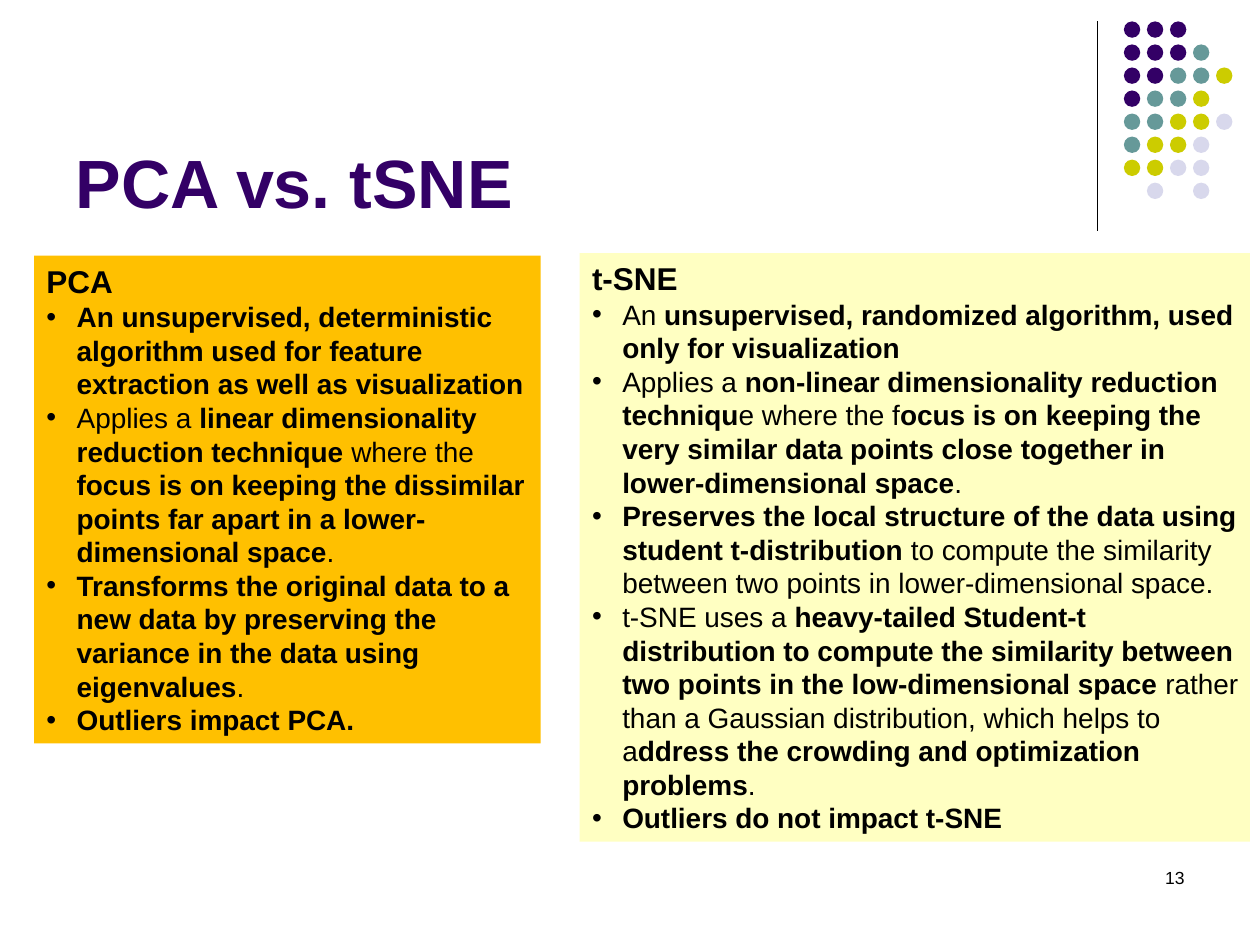
import pptx
import pptx.util
import pptx.dml.color
import pptx.enum.shapes
import pptx.enum.text
import lxml.etree
from pptx.util import Inches

SHAPE = pptx.enum.shapes.MSO_SHAPE
ALIGN = pptx.enum.text.PP_ALIGN
ANCHOR = pptx.enum.text.MSO_ANCHOR
A = "{http://schemas.openxmlformats.org/drawingml/2006/main}"


def color(hex_value):
    return pptx.dml.color.RGBColor.from_string(hex_value)


def write(paragraph, text, size, ink="000000", bold=False, align=ALIGN.LEFT, bullet=False):
    """Fill a paragraph; each ** in the text switches bold on or off."""
    paragraph.alignment = align
    if bullet:
        properties = paragraph._p.get_or_add_pPr()
        properties.set("marL", str(Inches(0.24)))
        properties.set("indent", str(-Inches(0.24)))
        lxml.etree.SubElement(properties, A + "buFont", typeface="Arial")
        lxml.etree.SubElement(properties, A + "buChar", char="•")
    for index, part in enumerate(text.split("**")):
        if part:
            run = paragraph.add_run()
            run.text = part
            run.font.name = "Arial"
            run.font.size = pptx.util.Pt(size)
            run.font.bold = bold or index % 2 == 1
            run.font.color.rgb = color(ink)


prs = pptx.Presentation()
prs.slide_width, prs.slide_height = Inches(10), Inches(7.5)
slide = prs.slides.add_slide(prs.slide_layouts[5])

# Corner ornament: a rule and a grid of dots
rule = slide.shapes.add_connector(
    pptx.enum.shapes.MSO_CONNECTOR.STRAIGHT,
    Inches(8.71), Inches(0.17), Inches(8.71), Inches(1.83))
rule.line.color.rgb = color("000000")
rule.line.width = pptx.util.Pt(0.75)
lxml.etree.SubElement(rule._element.spPr, A + "effectLst")

dot_colors = {"P": "330066", "T": "669999", "Y": "CCCC00", "L": "D8D8EC"}
dot_rows = ["PPP", "PPPT", "PPTTY", "PTTY", "TTYYL", "TYYL", "YYLL", " L L"]
pitch = 1.28 / 7
dots = slide.shapes.add_group_shape()
for row, codes in enumerate(dot_rows):
    for column, code in enumerate(codes):
        if code in dot_colors:
            dot = dots.shapes.add_shape(
                SHAPE.OVAL, Inches(8.92 + column * pitch), Inches(0.17 + row * pitch),
                Inches(0.13), Inches(0.13))
            dot.shadow.inherit = False
            dot.fill.solid()
            dot.fill.fore_color.rgb = color(dot_colors[code])
            dot.line.fill.background()

title = slide.shapes.title
title.left, title.top = Inches(0.5), Inches(0.39)
title.width, title.height = Inches(8.25), Inches(1.42)
title.text_frame.vertical_anchor = ANCHOR.BOTTOM
write(title.text_frame.paragraphs[0], "PCA vs. tSNE", 39, ink="330066", bold=True)

page_number = slide.shapes.add_textbox(Inches(7.17), Inches(6.83), Inches(2.33), Inches(0.5))
page_number.text_frame.word_wrap = True
write(page_number.text_frame.paragraphs[0], "13", 10, align=ALIGN.RIGHT)

# The two methods side by side
methods = [
    ("PCA", (0.27, 2.03, 4.02, 3.87), "FFC000", [
        "**An unsupervised, deterministic algorithm used for feature extraction "
        "as well as visualization**",
        "Applies a** linear dimensionality reduction technique** where the **focus is on "
        "keeping the dissimilar points far apart in a lower-dimensional space**.",
        "**Transforms the original data to a new data by preserving the variance "
        "in the data using eigenvalues**.",
        "**Outliers impact PCA.**",
    ]),
    ("t-SNE", (4.6, 2.01, 5.32, 4.67), "FFFFC2", [
        "An **unsupervised, randomized algorithm, used only for visualization**",
        "Applies a **non-linear dimensionality reduction techniqu**e where the f**ocus is on "
        "keeping the very similar data points close together in lower-dimensional space**.",
        "**Preserves the local structure of the data using student t-distribution** to compute "
        "the similarity between two points in lower-dimensional space.",
        "t-SNE uses a **heavy-tailed Student-t distribution to compute the similarity between "
        "two points in the low-dimensional space** rather than a Gaussian distribution, "
        "which helps to a**ddress the crowding and optimization problems**.",
        "**Outliers do not impact t-SNE**",
    ]),
]
for method, place, background, points in methods:
    panel = slide.shapes.add_shape(SHAPE.RECTANGLE, *map(Inches, place))
    panel.shadow.inherit = False
    panel.fill.solid()
    panel.fill.fore_color.rgb = color(background)
    panel.line.fill.background()
    frame = panel.text_frame
    frame.word_wrap = True
    frame.margin_right = Inches(0.08)
    frame.vertical_anchor = ANCHOR.TOP
    write(frame.paragraphs[0], method, 18, bold=True)
    for point in points:
        write(frame.add_paragraph(), point, 16, bullet=True)

prs.save("out.pptx")
